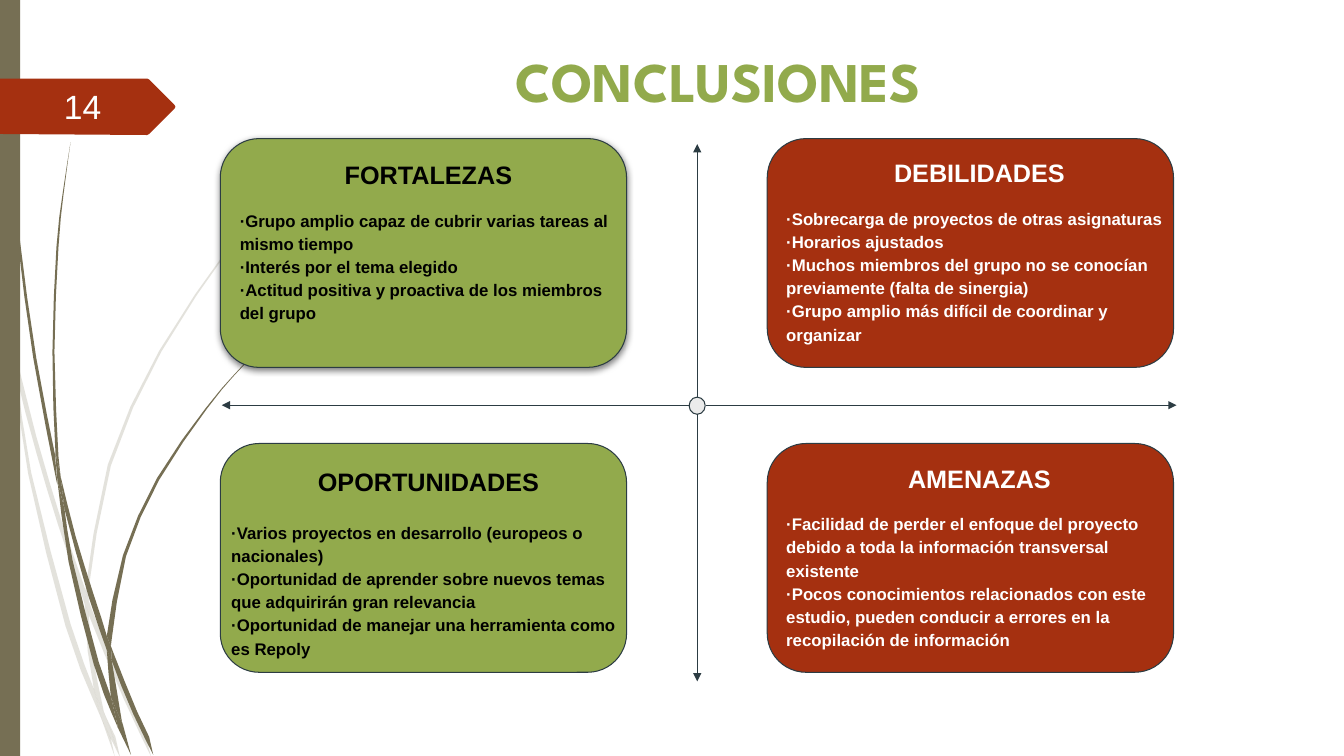
from dataclasses import dataclass
from math import dist

from lxml.etree import SubElement
from pptx import Presentation
from pptx.dml.color import RGBColor
from pptx.enum.shapes import MSO_CONNECTOR as Link, MSO_SHAPE as Kind
from pptx.enum.text import PP_ALIGN as Align
from pptx.oxml.ns import qn
from pptx.util import Inches, Pt

# Page grid: 1333 columns by 750 rows
WIDE, HIGH = Inches(13.33), Inches(7.5)
COL, ROW = WIDE / 1333, HIGH / 750

GREEN = RGBColor(0x92, 0xAA, 0x4C)
RED = RGBColor(0xA5, 0x30, 0x10)
OLIVE = RGBColor(0x76, 0x6F, 0x54)
GREY = RGBColor(0xEB, 0xEB, 0xEB)
SLATE = RGBColor(0x2C, 0x3C, 0x43)
BLACK = RGBColor(0, 0, 0)
WHITE = RGBColor(255, 255, 255)

Spot = tuple[float, float]
Box = tuple[float, float, float, float]
Blade = tuple[list[Spot], list[Spot]]


@dataclass
class Card:
    col: float
    row: float
    fill: RGBColor
    ink: RGBColor
    text: Box
    gap: float
    title: str
    items: list[str]
    shade: bool = False


# Blades of grass: left edge, right edge
FAINT: list[Blade] = [
    ([(0, 299), (10, 344), (11, 350)], [(0, 282), (9, 322), (11, 350)]),
    ([(14, 345), (17, 376), (36, 449), (58, 522), (84, 599)],
     [(14, 345), (36, 433), (62, 520), (85, 586), (84, 599)]),
    ([(88, 596), (88, 610), (123, 694), (150, 751)],
     [(88, 596), (92, 607), (127, 692), (155, 751)]),
    ([(105, 711), (119, 751)], [(105, 711), (124, 751)]),
    ([(11, 350), (28, 470), (65, 621), (92, 693), (101, 714)],
     [(11, 350), (17, 376), (31, 469), (70, 619), (93, 683), (99, 707), (101, 714)]),
    ([(84, 599), (87, 646), (93, 683), (96, 692), (105, 711)],
     [(84, 599), (88, 608), (88, 610), (91, 646), (103, 706), (105, 711)]),
    ([(312, 153), (290, 175), (268, 197), (228, 244), (158, 348), (107, 461),
      (85, 584), (85, 586), (88, 596)],
     [(312, 154), (290, 175), (268, 198), (229, 245), (160, 349), (110, 462),
      (88, 584), (88, 596)]),
    ([(101, 714), (114, 751)], [(101, 714), (119, 751)]),
    ([(85, 586), (84, 599), (88, 608), (88, 610)], [(85, 586), (88, 596), (88, 610)]),
    ([(93, 683), (99, 707), (101, 714), (119, 751)],
     [(93, 683), (96, 692), (105, 711), (119, 751)]),
]
DARK: list[Blade] = [
    ([(3, 0), (4, 48), (7, 110), (17, 233), (33, 355), (56, 477), (57, 481)],
     [(4, 0), (5, 48), (8, 109), (19, 232), (36, 355), (55, 453), (55, 457), (57, 481)]),
    ([(60, 472), (64, 505), (88, 592), (106, 645)],
     [(60, 472), (75, 532), (93, 590), (106, 631), (106, 645)]),
    ([(110, 641), (111, 656), (132, 708), (152, 749)],
     [(110, 641), (113, 649), (136, 706), (157, 749)]),
    ([(57, 477), (68, 557), (93, 659), (111, 708), (117, 722)],
     [(57, 477), (64, 505), (72, 556), (98, 657), (110, 691), (116, 717), (117, 722)]),
    ([(70, 141), (62, 193), (56, 245), (52, 349), (55, 449), (60, 472)],
     [(70, 141), (63, 193), (58, 245), (54, 349), (58, 453), (60, 472)]),
    ([(122, 719), (133, 749)], [(122, 719), (136, 749)]),
    ([(55, 449), (55, 453), (57, 477), (64, 505)], [(55, 449), (60, 472), (64, 505)]),
    ([(260, 344), (245, 358), (231, 373), (204, 405), (156, 474), (122, 551),
      (106, 631), (110, 641)],
     [(261, 344), (245, 359), (231, 374), (205, 406), (158, 476), (125, 552),
      (111, 633), (110, 641)]),
    ([(117, 722), (127, 749)], [(117, 722), (131, 749)]),
    ([(106, 645), (110, 691), (116, 706), (122, 719)],
     [(106, 645), (109, 651), (111, 656), (121, 716), (122, 719)]),
    ([(106, 631), (106, 645), (111, 656)], [(106, 631), (110, 641), (111, 656)]),
    ([(110, 691), (116, 717), (117, 722), (130, 749)],
     [(110, 691), (116, 706), (122, 719), (133, 749)]),
]
TAG: list[Spot] = [(0, 78), (146, 78), (148, 79), (173, 104), (174, 106), (173, 108),
                   (148, 133), (146, 134), (0, 133)]

CARDS = [
    Card(218.5, 137.5, GREEN, BLACK, (228, 144, 394, 250), 12.5, "FORTALEZAS", [
        "·Grupo amplio capaz de cubrir varias tareas al mismo tiempo",
        "·Interés por el tema elegido",
        "·Actitud positiva y proactiva de los miembros del grupo"], True),
    Card(761, 137.5, RED, WHITE, (770, 142, 403, 237), 12.5, "DEBILIDADES", [
        "·Sobrecarga de proyectos de otras asignaturas",
        "·Horarios ajustados",
        "·Muchos miembros del grupo no se conocían previamente (falta de sinergia)",
        "·Grupo amplio más difícil de coordinar y organizar"]),
    Card(218.5, 440, GREEN, BLACK, (219.5, 448, 411, 237), 16.5, "OPORTUNIDADES", [
        "·Varios proyectos en desarrollo (europeos o nacionales)",
        "·Oportunidad de aprender sobre nuevos temas que adquirirán gran relevancia",
        "·Oportunidad de manejar una herramienta como es Repoly"]),
    Card(761, 440, RED, WHITE, (770, 445, 403, 218), 12.5, "AMENAZAS", [
        "·Facilidad de perder el enfoque del proyecto debido a toda la "
        "información transversal existente",
        "·Pocos conocimientos relacionados con este estudio, pueden conducir "
        "a errores en la recopilación de información"]),
]

# Arrow ends around the hub
ARROWS = [((700, 402), (1167, 402)), ((691.5, 394), (691.5, 143)),
          ((684, 402), (220, 402)), ((691.5, 411), (691.5, 676))]


def place(box: Box) -> list[int]:
    return [round(n * unit) for n, unit in zip(box, (COL, ROW, COL, ROW))]


def bend(knots: list[Spot]) -> list[Spot]:
    """Add a curved midpoint to each long stretch."""
    ends = [knots[0], *knots, knots[-1]]
    curve = [knots[0]]
    for a, b, c, d in zip(ends, ends[1:], ends[2:], ends[3:]):
        if dist(b, c) > 40:
            curve.append(tuple((9 * (q + r) - p - s) / 16
                               for p, q, r, s in zip(a, b, c, d)))
        curve.append(c)
    return curve


def paint(shape, fill: RGBColor, edge: RGBColor | None = None) -> None:
    shape.shadow.inherit = False
    shape.fill.solid()
    shape.fill.fore_color.rgb = fill
    if edge is None:
        shape.line.fill.background()
    else:
        shape.line.color.rgb = edge
        shape.line.width = Pt(0.75)


def block(slide, kind: Kind, box: Box, fill: RGBColor, edge: RGBColor | None = None):
    shape = slide.shapes.add_shape(kind, *place(box))
    paint(shape, fill, edge)
    return shape


def trace(slide, rim: list[Spot], fill: RGBColor):
    spots = [(round(x * COL), round(y * ROW)) for x, y in rim]
    pen = slide.shapes.build_freeform(*spots[0])
    pen.add_line_segments(spots[1:])
    shape = pen.convert_to_shape()
    paint(shape, fill)
    return shape


def frame(slide, box: Box, pad: float = 0.1):
    text = slide.shapes.add_textbox(*place(box)).text_frame
    text.word_wrap = True
    text.margin_left = text.margin_right = Inches(0.1)
    text.margin_top = text.margin_bottom = Inches(pad)
    return text


def style(para, size: int, ink: RGBColor, bold: bool = True, face: str = "Arial") -> None:
    for run in para.runs:
        run.font.name, run.font.size, run.font.bold = face, Pt(size), bold
        run.font.color.rgb = ink


def arrow(slide, start: Spot, end: Spot) -> None:
    line = slide.shapes.add_connector(Link.STRAIGHT, *place((*start, *end)))
    line.line.color.rgb = SLATE
    line.line.width = Pt(0.75)
    SubElement(line.line._get_or_add_ln(), qn("a:tailEnd"), type="triangle")
    SubElement(line._element.spPr, qn("a:effectLst"))


def shade(shape) -> None:
    fx = shape._element.spPr.find(qn("a:effectLst"))
    cast = SubElement(fx, qn("a:outerShdw"), blurRad=str(Pt(4.5)),
                      dist=str(Pt(1.5)), dir="5400000", algn="t", rotWithShape="0")
    tint = SubElement(cast, qn("a:srgbClr"), val=str(BLACK))
    SubElement(tint, qn("a:alpha"), val="50000")


def deal(slide, card: Card) -> None:
    panel = block(slide, Kind.ROUNDED_RECTANGLE, (card.col, card.row, 403, 227),
                  card.fill, SLATE)
    panel.adjustments[0] = 0.17
    if card.shade:
        shade(panel)
    text = frame(slide, card.text)
    text.text = "\n".join([card.title, *card.items])
    for para in text.paragraphs:
        para.line_spacing = 1.15
        style(para, 12, card.ink)
    head = text.paragraphs[0]
    head.alignment = Align.CENTER
    head.space_after = Pt(card.gap)
    style(head, 18, card.ink)


def main() -> None:
    deck = Presentation()
    deck.slide_width, deck.slide_height = WIDE, HIGH
    slide = deck.slides.add_slide(deck.slide_layouts[6])

    # Grass, side bar and number tag
    for blades, faint in ((FAINT, True), (DARK, False)):
        for left, right in blades:
            shape = trace(slide, bend(left) + bend(right)[-2:0:-1], OLIVE)
            if faint:
                tint = shape._element.spPr.find(qn("a:solidFill"))[0]
                SubElement(tint, qn("a:alpha"), val="20000")
    block(slide, Kind.RECTANGLE, (0, 0, 20, 750), OLIVE)
    trace(slide, TAG, RED)

    # Title and slide number
    for box, pad, words, look in (
            ((244, 41, 951, 77), 0.05, "CONCLUSIONES ", (40, GREEN, True, "League Spartan")),
            ((50, 75, 64, 52), 0.1, "14", (24, WHITE, False))):
        text = frame(slide, box, pad)
        text.text = words
        text.paragraphs[0].alignment = Align.CENTER
        style(text.paragraphs[0], *look)

    # Axes and cards
    block(slide, Kind.OVAL, (683.5, 394, 16, 17), GREY, SLATE)
    for start, end in ARROWS:
        arrow(slide, start, end)
    for card in CARDS:
        deal(slide, card)

    deck.save("out.pptx")


if __name__ == "__main__":
    main()
